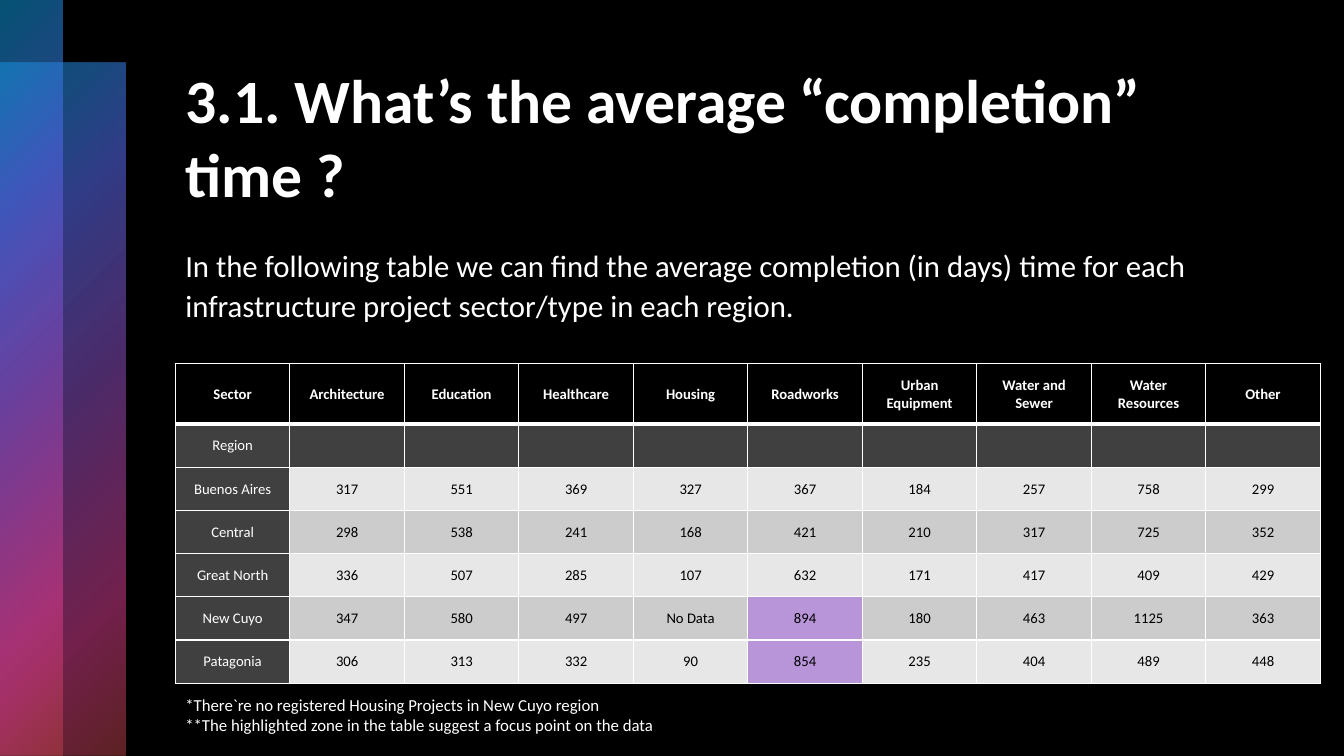
import dataclasses
import typing

import lxml.etree
import pptx
import pptx.dml.color
import pptx.enum.shapes
import pptx.enum.text
import pptx.oxml.ns
import pptx.util

WIDE = pptx.util.Inches(13.333)
HIGH = pptx.util.Inches(7.5)
FONT = "Calibri"
WHITE, BLACK, DARK = "FFFFFF", "000000", "404040"
SHADES = ("E7E7E7", "CCCCCC")
FOCUS = "B895D9"
LEFT = 13.05  # shared left edge of the content

ALIGN = pptx.enum.text.PP_ALIGN
ANCHOR = pptx.enum.text.MSO_ANCHOR


@dataclasses.dataclass(frozen=True)
class Box:
    """Place and size, in percent of the slide's width and height."""
    left: float
    top: float
    width: float
    height: float

    def area(self) -> tuple[int, int, int, int]:
        return (int(WIDE * self.left / 100), int(HIGH * self.top / 100),
                int(WIDE * self.width / 100), int(HIGH * self.height / 100))


@dataclasses.dataclass(frozen=True)
class Stop:
    place: int
    color: str
    alpha: int


BANDS = (Box(0, 8.27, 9.3, 91.73), Box(0, 0, 4.65, 100))
STOPS = (Stop(0, "0BA5E8", 50), Stop(25, "5066E1", 60), Stop(50, "894EC0", 55),
         Stop(81, "E54196", 50), Stop(99, "BE4449", 50))

TITLE = "3.1. What’s the average “completion” time ?"
INTRO = ("In the following table we can find the average completion (in days) "
         "time for each infrastructure project sector/type in each region.")
NOTES = ("*There`re no registered Housing Projects in New Cuyo region\n"
         "**The highlighted zone in the table suggest a focus point on the data")
ROWS = (
    ("Sector", "Architecture", "Education", "Healthcare", "Housing", "Roadworks",
     "Urban Equipment", "Water and Sewer", "Water Resources", "Other"),
    ("Region",) + ("",) * 9,
    ("Buenos Aires", 317, 551, 369, 327, 367, 184, 257, 758, 299),
    ("Central", 298, 538, 241, 168, 421, 210, 317, 725, 352),
    ("Great North", 336, 507, 285, 107, 632, 171, 417, 409, 429),
    ("New Cuyo", 347, 580, 497, "No Data", 894, 180, 463, 1125, 363),
    ("Patagonia", 306, 313, 332, 90, 854, 235, 404, 489, 448),
)
HEAD_SHARE, ROW_SHARE = 8, 5.71
GRID = Box(LEFT, 48.13, 85.2, HEAD_SHARE + ROW_SHARE * (len(ROWS) - 1))
MARKED = {(5, 5), (6, 5)}


def paint(code: str) -> pptx.dml.color.RGBColor:
    return pptx.dml.color.RGBColor.from_string(code)


def add_node(host: typing.Any, tag: str, **marks: typing.Any) -> typing.Any:
    return lxml.etree.SubElement(host, pptx.oxml.ns.qn(tag),
                                 {key: str(mark) for key, mark in marks.items()})


def write(frame: typing.Any, text: str, *, size: float, color: str = WHITE,
          bold: bool = False, align: typing.Any = ALIGN.LEFT,
          space: float = 1, before: float = 0) -> None:
    """Fill a text frame, one paragraph to a line of text."""
    frame.word_wrap = True
    for spot, line in enumerate(text.split("\n")):
        para = frame.add_paragraph() if spot else frame.paragraphs[0]
        para.alignment = align
        para.line_spacing = space
        para.space_before = pptx.util.Pt(before)
        font = para.font
        if line:
            run = para.add_run()
            run.text = line
            font = run.font
        font.name, font.size, font.bold = FONT, pptx.util.Pt(size), bold
        font.color.rgb = paint(color)


def add_band(slide: typing.Any, box: Box) -> None:
    """Draw a bar with a see-through gradient spreading from its top left."""
    kind = pptx.enum.shapes.MSO_SHAPE.RECTANGLE
    band = slide.shapes.add_shape(kind, *box.area())
    band.shadow.inherit = False
    band.line.fill.background()
    band.fill.gradient()
    grad = band.fill._xPr.find(pptx.oxml.ns.qn("a:gradFill"))
    for child in list(grad):
        grad.remove(child)
    stops = add_node(grad, "a:gsLst")
    for stop in STOPS:
        point = add_node(stops, "a:gs", pos=stop.place * 1000)
        tint = add_node(point, "a:srgbClr", val=stop.color)
        add_node(tint, "a:alpha", val=stop.alpha * 1000)
    round_fill = add_node(grad, "a:path", path="circle")
    add_node(round_fill, "a:fillToRect", l=0, t=0, r=100000, b=100000)


def add_text(slide: typing.Any, box: Box, text: str, **style: typing.Any) -> None:
    write(slide.shapes.add_textbox(*box.area()).text_frame, text, **style)


def edge_cell(cell: typing.Any, row: int) -> None:
    """Give a cell thin white edges, thick under the header."""
    props = cell._tc.get_or_add_tcPr()
    widths = {"L": 1, "R": 1, "T": 3 if row == 1 else 1, "B": 3 if row == 0 else 1}
    for side, width in widths.items():
        edge = add_node(props, f"a:ln{side}", w=pptx.util.Pt(width))
        add_node(add_node(edge, "a:solidFill"), "a:srgbClr", val=WHITE)


def shade(row: int, col: int) -> str:
    if row == 0:
        return BLACK
    if row == 1 or col == 0:
        return DARK
    return FOCUS if (row, col) in MARKED else SHADES[row % 2]


def add_grid(slide: typing.Any) -> None:
    table = slide.shapes.add_table(len(ROWS), len(ROWS[0]), *GRID.area()).table
    table.horz_banding = False
    for row, values in enumerate(ROWS):
        share = ROW_SHARE if row else HEAD_SHARE
        table.rows[row].height = int(HIGH * share / 100)
        for col, value in enumerate(values):
            cell = table.cell(row, col)
            edge_cell(cell, row)
            cell.fill.solid()
            cell.fill.fore_color.rgb = paint(shade(row, col))
            cell.vertical_anchor = ANCHOR.MIDDLE
            write(cell.text_frame, str(value), size=10.5, bold=row == 0,
                  color=BLACK if row > 1 and col else WHITE, align=ALIGN.CENTER)


def main() -> None:
    deck = pptx.Presentation()
    deck.slide_width, deck.slide_height = WIDE, HIGH
    slide = deck.slides.add_slide(deck.slide_layouts[5])

    # Backdrop and side bands
    slide.background.fill.solid()
    slide.background.fill.fore_color.rgb = paint(BLACK)
    for box in BANDS:
        add_band(slide, box)

    # Title
    title = slide.shapes.title
    title.left, title.top, title.width, title.height = Box(
        LEFT, 6.67, 77.8, 22.67).area()
    title.text_frame.auto_size = pptx.enum.text.MSO_AUTO_SIZE.NONE
    title.text_frame.vertical_anchor = ANCHOR.MIDDLE
    write(title.text_frame, TITLE, size=44, bold=True)

    # Intro, table and notes
    add_text(slide, Box(LEFT, 31.47, 77.8, 12.8), INTRO,
             size=22, space=1.1, before=12)
    add_grid(slide)
    add_text(slide, Box(LEFT, 91.2, 68.04, 6.67), NOTES, size=12)

    deck.save("out.pptx")


if __name__ == "__main__":
    main()
